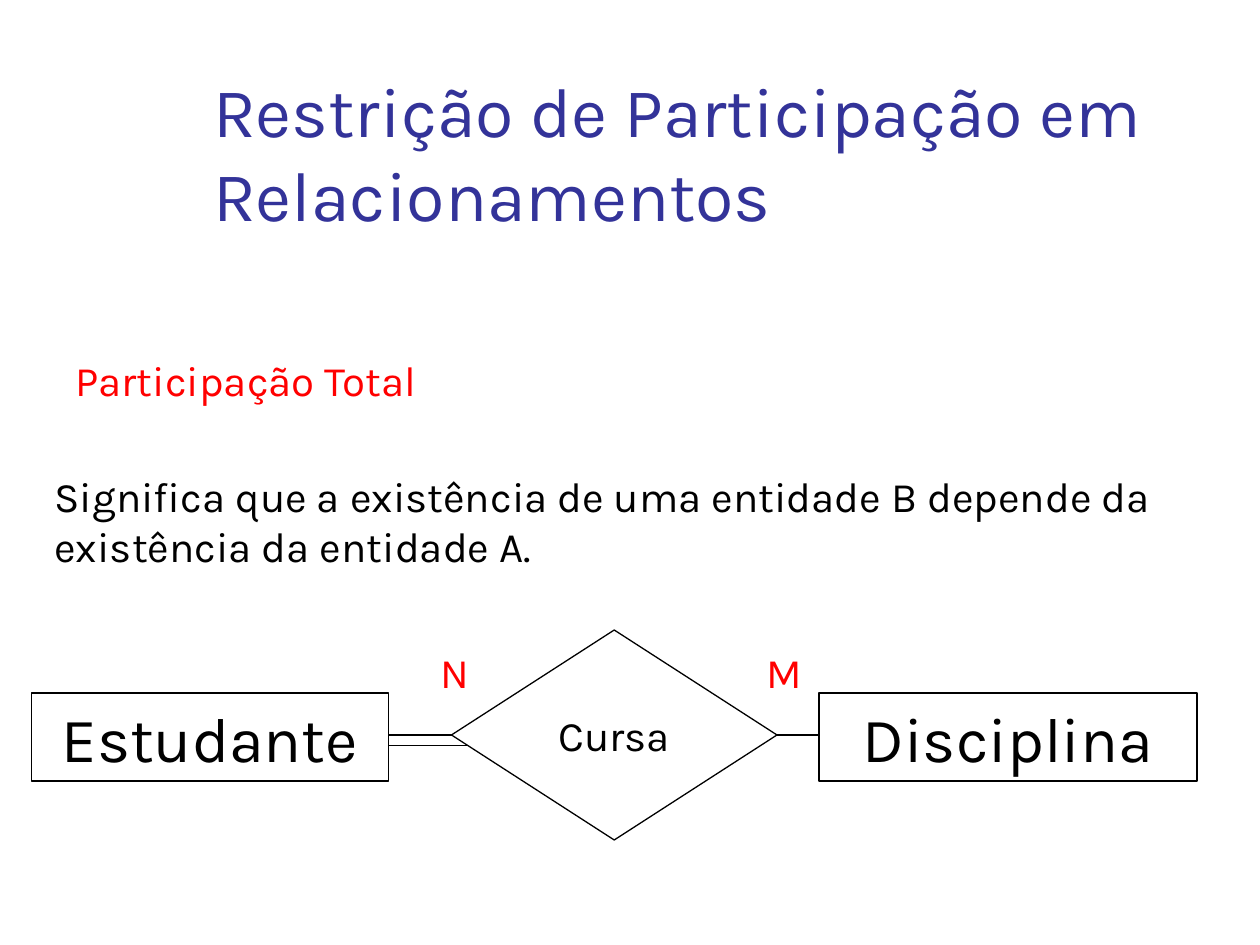
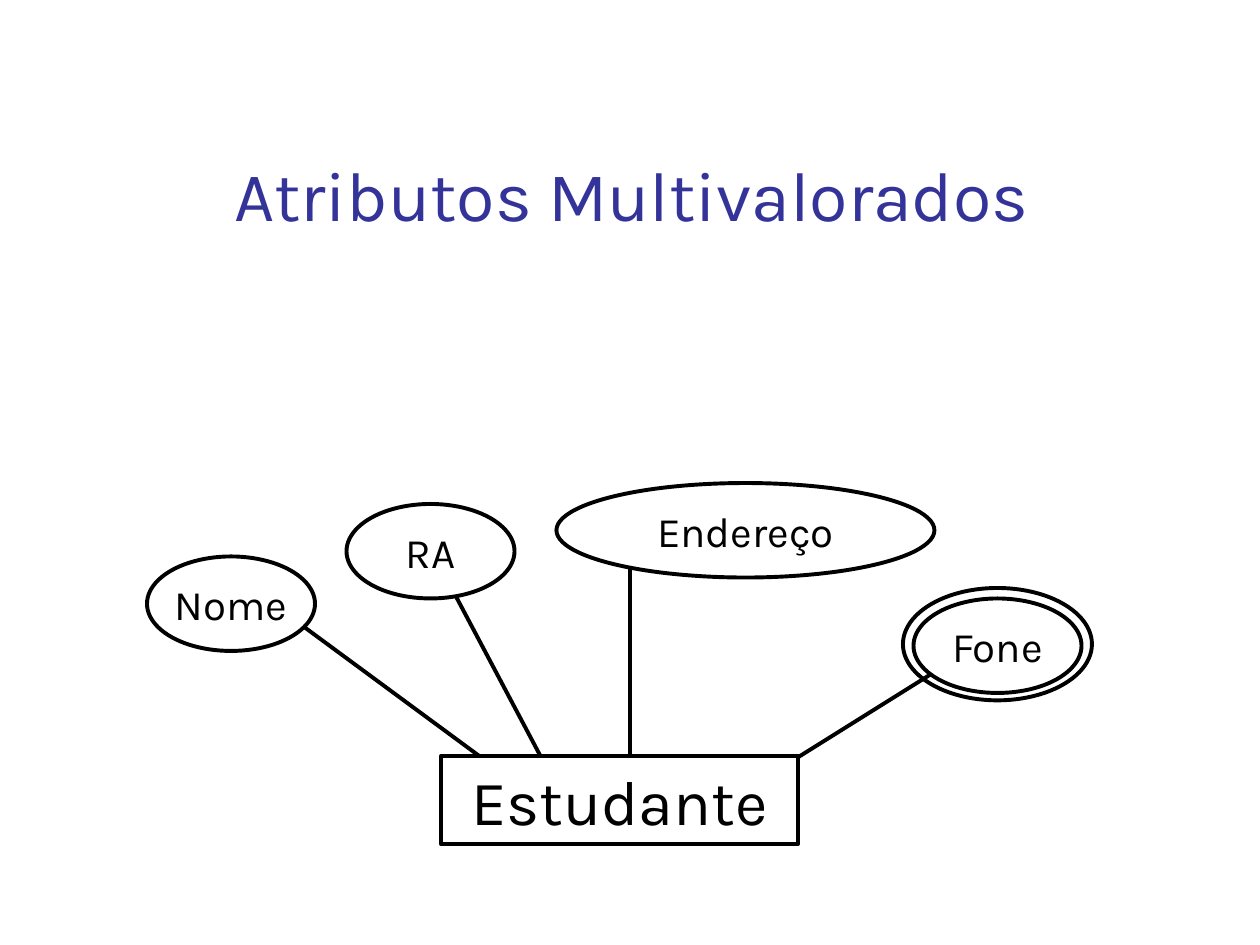
from dataclasses import dataclass

from pptx import Presentation
from pptx.dml.color import RGBColor
from pptx.enum.shapes import MSO_CONNECTOR as Link, MSO_SHAPE as Form
from pptx.enum.text import MSO_ANCHOR as Anchor, MSO_AUTO_SIZE as Fit, PP_ALIGN as Align
from pptx.oxml.ns import qn
from pptx.util import Emu, Pt
from lxml.etree import SubElement

PX = 7620  # EMU in one px, 120 px to the inch
FONT = "Karla"
BLACK, WHITE, RED, NAVY = "000000", "FFFFFF", "FF0000", "333399"
BODY, LARGE, HEAD = 24, 36, 40
THIN, THICK = 0.75, 2.25


@dataclass(frozen=True)
class Box:
    left: int
    top: int
    width: int
    height: int


@dataclass(frozen=True)
class Node:
    form: Form
    text: str
    box: Box


@dataclass(frozen=True)
class Label:
    text: str
    box: Box
    color: str = RED


@dataclass(frozen=True)
class Line:
    x1: int
    y1: int
    x2: int
    y2: int


def px(count: int) -> Emu:
    return Emu(count * PX)


def place(box: Box) -> tuple:
    return px(box.left), px(box.top), px(box.width), px(box.height)


def rgb(code: str) -> RGBColor:
    return RGBColor.from_string(code)


def write(frame, text: str, size: int, color: str, align=Align.LEFT) -> None:
    frame.text = text
    for par in frame.paragraphs:
        par.alignment = align
        for run in par.runs:
            run.font.name = FONT
            run.font.size = Pt(size)
            run.font.color.rgb = rgb(color)


def add_page(deck, title: str, left: int):
    page = deck.slides.add_slide(deck.slide_layouts[5])
    head = page.shapes.title
    head.left, head.top, head.width, head.height = place(Box(left, 80, 1049, 150))
    frame = head.text_frame
    frame.auto_size = Fit.NONE
    frame.vertical_anchor = Anchor.BOTTOM
    write(frame, title, HEAD, NAVY)
    return page


def add_node(page, node: Node, weight: float) -> None:
    shape = page.shapes.add_shape(node.form, *place(node.box))
    shape.shadow.inherit = False
    shape.fill.solid()
    shape.fill.fore_color.rgb = rgb(WHITE)
    shape.line.color.rgb = rgb(BLACK)
    shape.line.width = Pt(weight)
    if not node.text:
        return
    entity = node.form == Form.RECTANGLE
    frame = shape.text_frame
    frame.word_wrap = entity
    frame.vertical_anchor = Anchor.TOP if entity else Anchor.MIDDLE
    write(frame, node.text, LARGE if entity else BODY, BLACK, Align.CENTER)


def add_label(page, label: Label) -> None:
    frame = page.shapes.add_textbox(*place(label.box)).text_frame
    frame.word_wrap = False
    frame.auto_size = Fit.SHAPE_TO_FIT_TEXT
    write(frame, label.text, BODY, label.color)


def add_line(page, line: Line, weight: float) -> None:
    ends = map(px, (line.x1, line.y1, line.x2, line.y2))
    link = page.shapes.add_connector(Link.STRAIGHT, *ends)
    link.line.color.rgb = rgb(BLACK)
    link.line.width = Pt(weight)
    SubElement(link._element.spPr, qn("a:effectLst"))


def draw(page, parts: list, weight: float) -> None:
    """Draw the parts from back to front."""
    for part in parts:
        if isinstance(part, Node):
            add_node(page, part, weight)
        elif isinstance(part, Line):
            add_line(page, part, weight)
        else:
            add_label(page, part)


def entity(text: str, left: int, top: int, width: int = 340) -> Node:
    return Node(Form.RECTANGLE, text, Box(left, top, width, 84))


def field(text: str, left: int, top: int, width: int = 160) -> Node:
    return Node(Form.OVAL, text, Box(left, top, width, 90))


TOTAL = [
    Label("Participação Total", Box(60, 332, 358, 60)),
    Label("Significa que a existência de uma entidade B depende da\n"
          "existência da entidade A.", Box(40, 442, 1093, 108), BLACK),
    Line(480, 710, 350, 710),
    Line(360, 700, 790, 700),
    Node(Form.DIAMOND, "Cursa", Box(430, 600, 310, 200)),
    entity("Disciplina", 780, 660, 360),
    Label("M", Box(718, 610, 60, 60)),
    Label("N", Box(408, 610, 54, 60)),
    entity("Estudante", 30, 660),
]

FIELDS = [
    Line(280, 590, 470, 730),
    Line(430, 560, 520, 730),
    Line(600, 540, 600, 740),
    field("Nome", 140, 530),
    field("RA", 330, 480),
    field("Endereço", 530, 460, 360),
    Node(Form.OVAL, "", Box(860, 560, 180, 107)),
    Line(890, 640, 730, 740),
    field("Fone", 870, 570),
    entity("Estudante", 420, 720),
]


def main() -> None:
    deck = Presentation()
    deck.slide_width, deck.slide_height = px(1200), px(900)
    page = add_page(deck, "Restrição de Participação em Relacionamentos", 191)
    draw(page, TOTAL, THIN)
    page = add_page(deck, "Atributos Multivalorados", 211)
    draw(page, FIELDS, THICK)
    deck.save("out.pptx")


if __name__ == "__main__":
    main()
